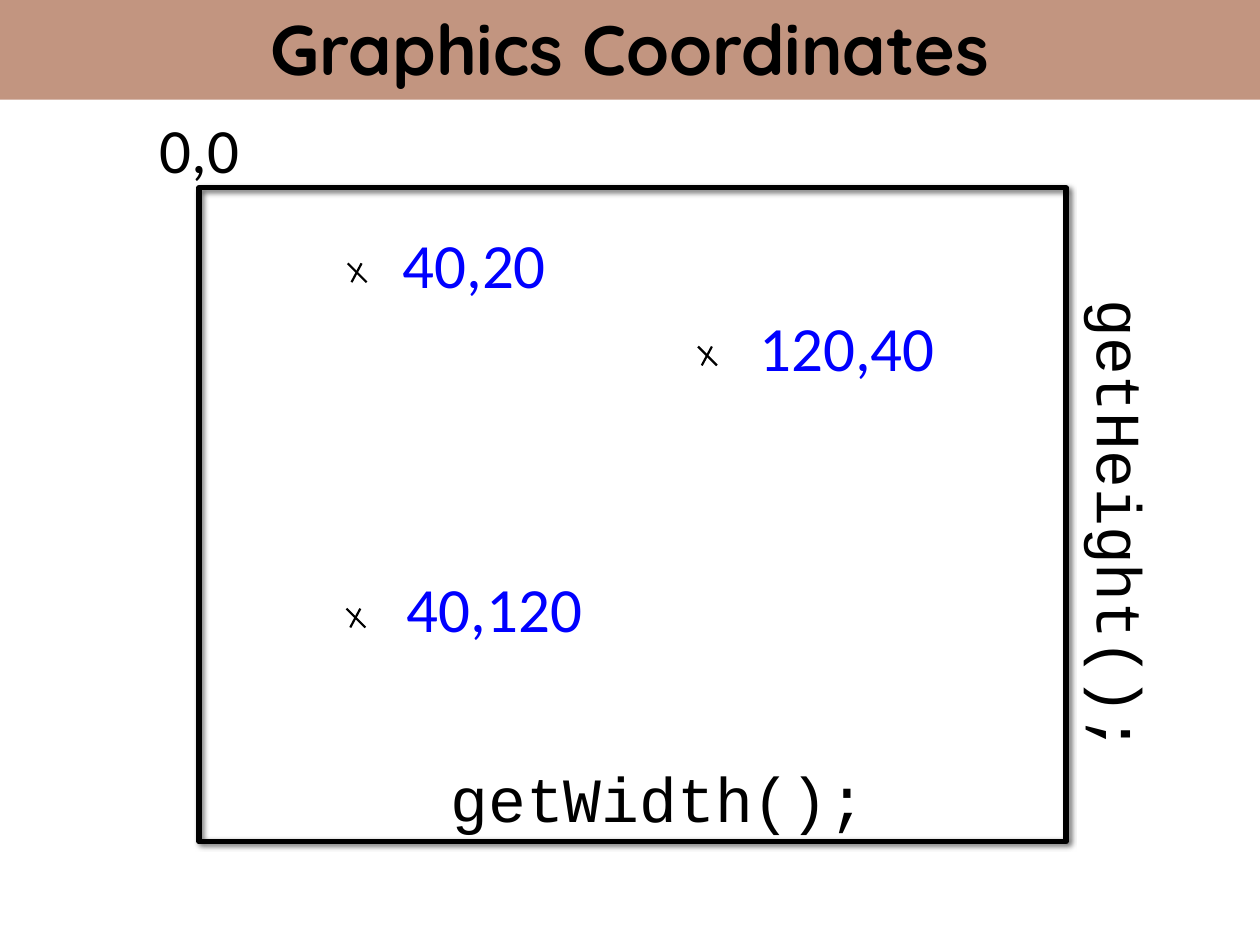
from lxml import etree
from pptx import Presentation
from pptx import util as u
from pptx.dml.color import RGBColor
from pptx.enum import shapes, text
from pptx.oxml import ns

WIDTH, HEIGHT = u.Inches(10), u.Inches(7.5)
COLUMNS, ROWS = 100, 75
BLACK, BLUE, CLAY = "000000", "0000FF", "C29580"
MARKED_POINTS = [
    ("40,20", 27.6, 20.9, 1.9, -3.5),
    ("40,120", 27.5, 48.3, 3.6, -3.6),
    ("120,40", 55.4, 27.5, 3.7, -3.5),
]


def col(count):
    return round(WIDTH * count / COLUMNS)


def row(count):
    return round(HEIGHT * count / ROWS)


def place(left, top, width, height):
    return col(left), row(top), col(width), row(height)


def color(hex_code):
    return RGBColor.from_string(hex_code)


def write(box, words, font, size, hex_code, bold=False):
    frame = box.text_frame
    frame.word_wrap = True
    frame.text = words
    para = frame.paragraphs[0]
    para.alignment = text.PP_ALIGN.CENTER
    span = para.runs[0]
    span.font.name = font
    span.font.size = u.Pt(size)
    span.font.bold = bold
    span.font.color.rgb = color(hex_code)


def add_label(parent, words, area, font="Calibri", hex_code=BLACK, rotation=0):
    box = parent.add_textbox(*place(*area))
    write(box, words, font, 36, hex_code)
    box.text_frame.auto_size = text.MSO_AUTO_SIZE.SHAPE_TO_FIT_TEXT
    box.rotation = rotation


def add_rectangle(parent, area):
    box = parent.add_shape(shapes.MSO_SHAPE.RECTANGLE, *place(*area))
    box.fill.background()
    box.line.fill.background()
    box.shadow.inherit = False
    return box


def add_banner(parent, words):
    banner = add_rectangle(parent, (0, -0.3, COLUMNS, 8.2))
    banner.fill.solid()
    banner.fill.fore_color.rgb = color(CLAY)
    banner.text_frame.vertical_anchor = text.MSO_ANCHOR.MIDDLE
    write(banner, words, "Quicksand", 40, BLACK, bold=True)


def add_window(parent):
    window = add_rectangle(parent, (15.8, 14.9, 68.8, 51.9))
    window.line.color.rgb = color(BLACK)
    window.line.width = u.Pt(3)
    effects = window._element.spPr.find(ns.qn("a:effectLst"))
    shadow = etree.SubElement(effects, ns.qn("a:outerShdw"),
                              blurRad=str(u.Pt(3)), dist=str(u.Pt(2)),
                              dir=str(45 * 60000), rotWithShape="0")
    tint = etree.SubElement(shadow, ns.qn("a:srgbClr"), val=BLACK)
    etree.SubElement(tint, ns.qn("a:alpha"), val="60000")


def add_stroke(parent, start, end):
    stroke = parent.add_connector(
        shapes.MSO_CONNECTOR.STRAIGHT,
        col(start[0]), row(start[1]), col(end[0]), row(end[1]))
    stroke.line.color.rgb = color(BLACK)
    stroke.line.width = u.Pt(1.25)
    etree.SubElement(stroke._element.spPr, ns.qn("a:effectLst"))


def add_marked_point(parent, words, left, top, label_shift, label_rise):
    group = parent.add_group_shape().shapes
    bottom = top + 1.5
    add_stroke(group, (left, top), (left + 1.5, bottom))
    add_stroke(group, (left + 1.1, top), (left + 0.3, bottom))
    add_label(group, words,
              (left + label_shift, top + label_rise, 16.3, 7.1),
              hex_code=BLUE)


def main():
    deck = Presentation()
    deck.slide_width, deck.slide_height = WIDTH, HEIGHT
    page = deck.slides.add_slide(deck.slide_layouts[6]).shapes
    add_banner(page, "Graphics Coordinates")
    add_window(page)
    add_label(page, "0,0", (11.2, 8.3, 9.3, 7.1))
    add_label(page, "getHeight();", (68.2, 38.2, 41.6, 7.1), "Courier New", rotation=90)
    add_label(page, "getWidth();", (34.3, 59.8, 35.9, 7.1), "Courier New")
    for point in MARKED_POINTS:
        add_marked_point(page, *point)
    deck.save("out.pptx")


if __name__ == "__main__":
    main()
